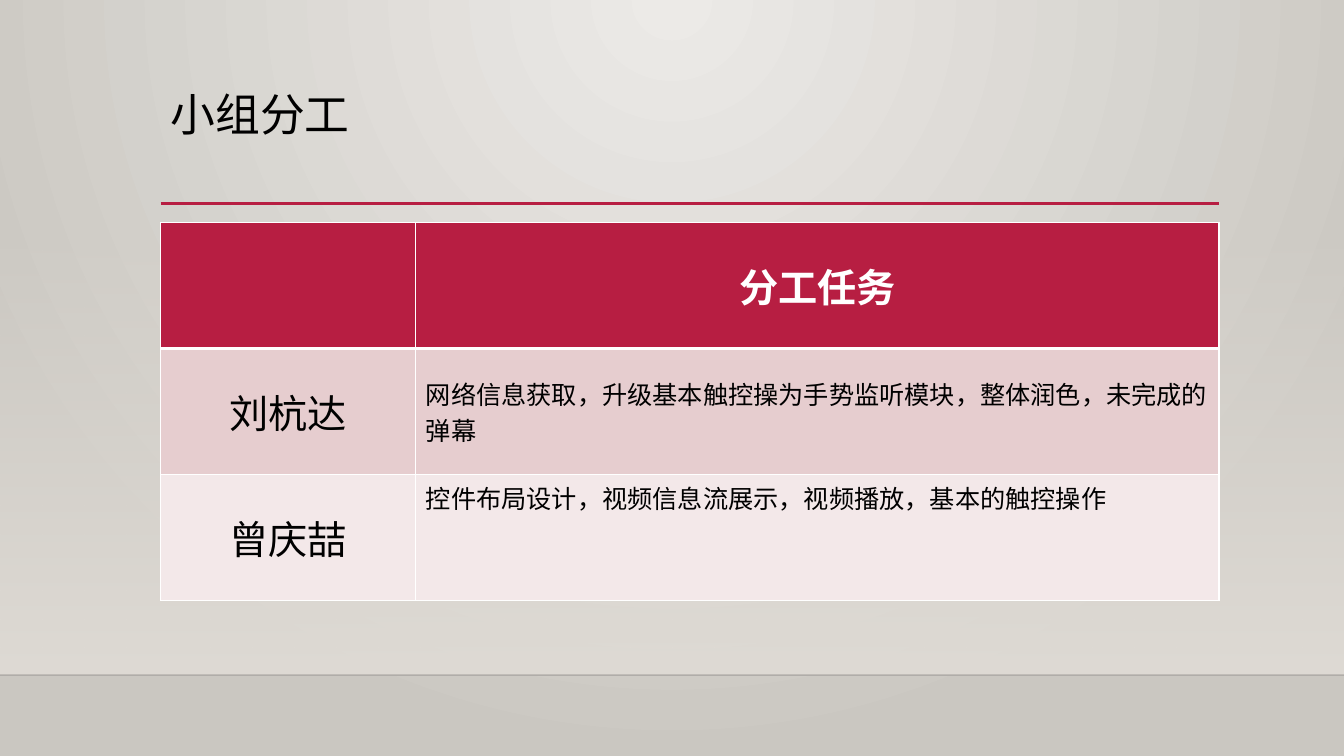
from lxml import etree
from pptx import Presentation
from pptx import util as u
from pptx.dml.color import RGBColor
from pptx.enum import shapes, text
from pptx.oxml import parse_xml
from pptx.oxml.ns import nsdecls, qn

PX = 9525
FONT = "Cabin"
BLACK = RGBColor(0x00, 0x00, 0x00)
WHITE = RGBColor(0xFF, 0xFF, 0xFF)
CRIMSON = RGBColor(0xB7, 0x1E, 0x42)
ROSE = RGBColor(0xE6, 0xCD, 0xCF)
PALE_ROSE = RGBColor(0xF3, 0xE8, 0xE9)
LIGHT_WALL = RGBColor(0xEC, 0xEA, 0xE7)
DARK_WALL = RGBColor(0xCA, 0xC7, 0xC1)
HAZE = RGBColor(0xDF, 0xDB, 0xD5)
FLOOR_LINE = RGBColor(0x00, 0x00, 0x01)

TASKS = [
    ("刘杭达", "网络信息获取，升级基本触控操为手势监听模块，整体润色，未完成的弹幕"),
    ("曾庆喆", "控件布局设计，视频信息流展示，视频播放，基本的触控操作"),
]


def px(*lengths):
    """Turn pixel lengths into EMU."""
    return [u.Emu(n * PX) for n in lengths]


def set_gradient(fill, start, end, start_alpha, direction):
    """Give a fill two stops and the direction element."""
    fill.gradient()
    old = fill._fill._gradFill
    new = parse_xml(
        f'<a:gradFill {nsdecls("a")} rotWithShape="1"><a:gsLst>'
        f'<a:gs pos="0"><a:srgbClr val="{start}"><a:alpha val="{start_alpha * 1000}"/></a:srgbClr></a:gs>'
        f'<a:gs pos="100000"><a:srgbClr val="{end}"/></a:gs>'
        f'</a:gsLst>{direction}</a:gradFill>')
    old.getparent().replace(old, new)


def add_rule(s, x, y, w, color, weight, opacity=100):
    """Draw a horizontal line."""
    x1, x2, y = px(x, x + w, y)
    rule = s.shapes.add_connector(shapes.MSO_CONNECTOR.STRAIGHT, x1, y, x2, y)
    rule.line.color.rgb = color
    rule.line.width = u.Pt(weight)
    etree.SubElement(rule._element.spPr, qn("a:effectLst"))
    rgb = rule._element.spPr.find(".//" + qn("a:srgbClr"))
    etree.SubElement(rgb, qn("a:alpha"), val=str(opacity * 1000))


def style_text(tf, size, color, bold=False):
    """Format every run of a text frame."""
    for p in tf.paragraphs:
        for r in p.runs:
            r.font.name = FONT
            r.font.size = u.Pt(size)
            r.font.bold = bold
            r.font.color.rgb = color


def add_backdrop(s, w, h, floor):
    """Paint the wall and the haze above the floor line."""
    set_gradient(s.background.fill, LIGHT_WALL, DARK_WALL, 100,
                 '<a:path path="circle"><a:fillToRect l="43000" r="43000" b="100000"/></a:path>')
    top = 212
    haze = s.shapes.add_shape(shapes.MSO_SHAPE.RECTANGLE, *px(0, top, w, floor - top))
    haze.shadow.inherit = False
    haze.line.fill.background()
    set_gradient(haze.fill, HAZE, HAZE, 0, '<a:lin ang="5400000" scaled="0"/>')
    add_rule(s, 0, floor, w, FLOOR_LINE, 1, 20)


def add_title(s, x, y, w, h):
    """Place the title with its rule underneath."""
    add_rule(s, x, y + h, w, CRIMSON, 2.5)
    tf = s.shapes.add_textbox(*px(x, y, w, h)).text_frame
    tf.word_wrap = True
    tf.text = "小组分工"
    tf.paragraphs[0].line_spacing = 0.9
    style_text(tf, 32, BLACK)


def add_borders(cell, bottom):
    """Draw white borders around a cell."""
    tcPr = cell._tc.get_or_add_tcPr()
    for side, weight in zip("LRTB", (1, 1, 1, bottom)):
        tcPr.append(parse_xml(
            f'<a:ln{side} {nsdecls("a")} w="{u.Pt(weight)}"><a:solidFill>'
            f'<a:srgbClr val="{WHITE}"/></a:solidFill></a:ln{side}>'))


def add_task_table(s, x, y, w, h):
    """Place the table of members and tasks."""
    rows = [("", "分工任务"), *TASKS]
    table = s.shapes.add_table(len(rows), 2, *px(x, y, w, h)).table
    name_w = 243
    table.columns[0].width, table.columns[1].width = px(name_w, w - name_w)
    for i, (row, fill) in enumerate(zip(rows, (CRIMSON, ROSE, PALE_ROSE))):
        header = i == 0
        for j, words in enumerate(row):
            cell = table.cell(i, j)
            task = j == 1 and not header
            add_borders(cell, 3 if header else 1)
            cell.fill.solid()
            cell.fill.fore_color.rgb = fill
            cell.text = words
            style_text(cell.text_frame, 18 if task else 28, WHITE if header else BLACK, header)
            if not task:
                cell.text_frame.paragraphs[0].alignment = text.PP_ALIGN.CENTER
            if not (task and i == len(rows) - 1):
                cell.vertical_anchor = text.MSO_ANCHOR.MIDDLE


def main():
    """Build and save the slide."""
    prs = Presentation()
    prs.slide_width, prs.slide_height = px(1280, 720)
    s = prs.slides.add_slide(prs.slide_layouts[6])
    add_backdrop(s, 1280, 720, 643)
    add_title(s, 153, 84, 1008, 110)
    add_task_table(s, 153, 212, 1008, 360)
    prs.save("out.pptx")


if __name__ == "__main__":
    main()
